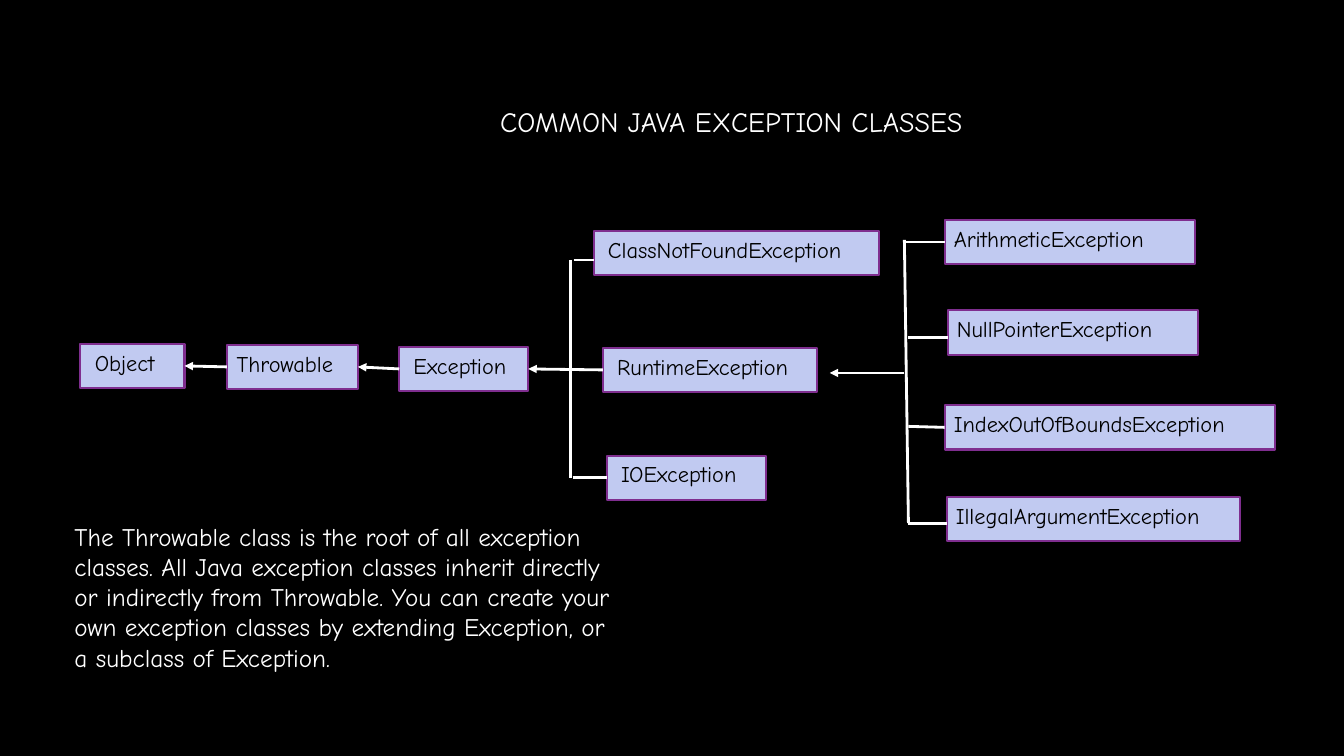
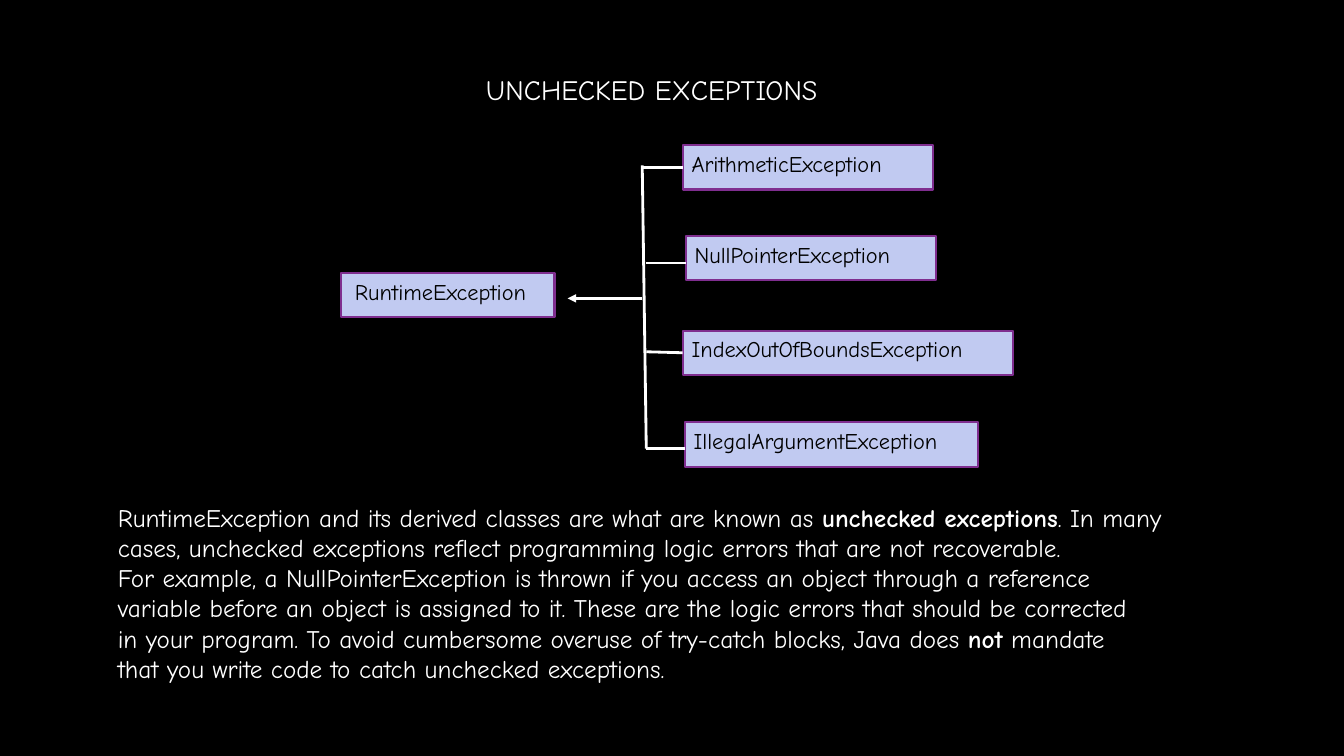
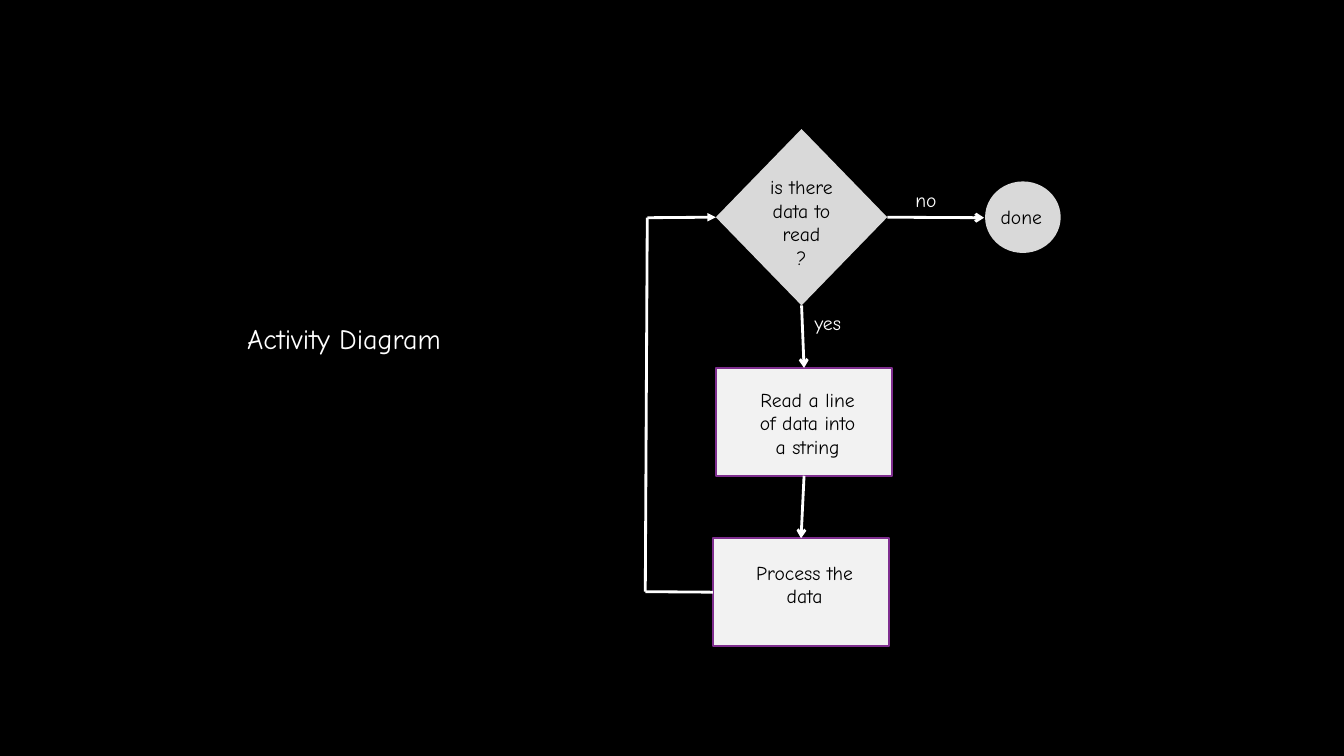
from lxml import etree
from pptx import Presentation
from pptx.dml.color import RGBColor
from pptx.enum.shapes import MSO_CONNECTOR, MSO_SHAPE
from pptx.enum.text import MSO_ANCHOR, MSO_AUTO_SIZE, PP_ALIGN
from pptx.oxml.ns import qn
from pptx.util import Inches, Pt

RECT, DIAMOND, OVAL = MSO_SHAPE.RECTANGLE, MSO_SHAPE.DIAMOND, MSO_SHAPE.OVAL
STRAIGHT = MSO_CONNECTOR.STRAIGHT
LEFT, CENTER = PP_ALIGN.LEFT, PP_ALIGN.CENTER
TOP, MIDDLE = MSO_ANCHOR.TOP, MSO_ANCHOR.MIDDLE
NO_FIT = MSO_AUTO_SIZE.NONE

FONT = "Comic Neue"
BLACK, WHITE, PURPLE = "000000", "FFFFFF", "7F2E8F"
LAVENDER, GREY, PALE = "C1CAF1", "D9D9D9", "F2F2F2"
TOP_SITE, LEFT_SITE, BOTTOM_SITE, RIGHT_SITE = range(4)
rgb = RGBColor.from_string


def write(tf, text, size=18, color=WHITE, align=LEFT, anchor=TOP,
          margins=(0.1, 0.05, 0, 0.05)):
    """Fill a text frame: one paragraph per line, **bold** between stars."""
    tf.word_wrap = True
    tf.auto_size = NO_FIT
    tf.vertical_anchor = anchor
    (tf.margin_left, tf.margin_top,
     tf.margin_right, tf.margin_bottom) = map(Inches, margins)
    for i, line in enumerate(text.split("\n")):
        p = tf.add_paragraph() if i else tf.paragraphs[0]
        p.alignment = align
        for j, part in enumerate(line.split("**")):
            r = p.add_run()
            r.text = part
            r.font.name, r.font.size = FONT, Pt(size)
            r.font.color.rgb = rgb(color)
            r.font.bold = j % 2 == 1


def connect(s, nodes, start, end, arrow=None):
    """Draw a line; each end is a point (x, y) or a (node name, site)."""
    points = [(0, 0) if isinstance(e[0], str) else e for e in (start, end)]
    line = s.shapes.add_connector(
        STRAIGHT, *[Inches(v) for point in points for v in point])
    for e, join in ((start, line.begin_connect), (end, line.end_connect)):
        if isinstance(e[0], str):
            join(nodes[e[0]], e[1])
    line.line.color.rgb = rgb(WHITE)
    line.line.width = Pt(2)
    if arrow:
        ln = line.line._get_or_add_ln()
        etree.SubElement(ln, qn("a:tailEnd"), type=arrow)
    etree.SubElement(line._element.spPr, qn("a:effectLst"))


prs = Presentation()
prs.slide_width, prs.slide_height = Inches(13.33), Inches(7.5)
fill = prs.slide_master.background.fill
fill.solid()
fill.fore_color.rgb = rgb(BLACK)

# Slides and titles
titles = [
    ("COMMON JAVA EXCEPTION CLASSES", 4.86, 0.99, 5.52),
    ("UNCHECKED EXCEPTIONS", 4.72, 0.67, 3.85),
    ("Activity Diagram", 2.35, 3.14, 2.72),
]
slides = []
for text, x, y, w in titles:
    s = prs.slides.add_slide(prs.slide_layouts[5])
    title = s.shapes.title
    title.left, title.top = Inches(x), Inches(y)
    title.width, title.height = Inches(w), Inches(0.44)
    write(title.text_frame, text, size=20)
    slides.append(s)

# Class boxes: name, left, top, width, text indent
base_classes = [
    ("Object", 0.79, 3.41, 1.04, 0.15),
    ("Throwable", 2.25, 3.42, 1.3, 0.1),
    ("Exception", 3.96, 3.44, 1.28, 0.14),
    ("ClassNotFoundException", 5.89, 2.29, 2.83, 0.14),
    ("IOException", 6.02, 4.52, 1.58, 0.14),
]
runtime_classes = [
    ("RuntimeException", 5.98, 3.45, 2.12, 0.14),
    ("ArithmeticException", 9.37, 2.18, 2.48, 0.09),
    ("NullPointerException", 9.4, 3.08, 2.48, 0.09),
    ("IndexOutOfBoundsException", 9.37, 4.02, 3.28, 0.09),
    ("IllegalArgumentException", 9.39, 4.93, 2.91, 0.09),
]
base_links = [
    (("Throwable", LEFT_SITE), ("Object", RIGHT_SITE), "triangle"),
    (("Exception", LEFT_SITE), ("Throwable", RIGHT_SITE), "triangle"),
    (("RuntimeException", LEFT_SITE), ("Exception", RIGHT_SITE), "triangle"),
    ((5.66, 2.58), (5.66, 4.74), None),
    ((5.69, 2.58), (5.89, 2.58), None),
    ((5.68, 4.74), ("IOException", LEFT_SITE), None),
]
runtime_links = [
    ((8.97, 2.38), (9.01, 5.19), None),
    ((8.96, 2.4), ("ArithmeticException", LEFT_SITE), None),
    ((9.01, 3.35), (9.4, 3.35), None),
    ((9.01, 4.23), ("IndexOutOfBoundsException", LEFT_SITE), None),
    ((9.01, 5.19), (9.39, 5.19), None),
    ((8.97, 3.7), (8.23, 3.7), "triangle"),
]
throwable_note = """The Throwable class is the root of all exception
classes. All Java exception classes inherit directly
or indirectly from Throwable. You can create your
own exception classes by extending Exception, or
a subclass of Exception."""
unchecked_note = """RuntimeException and its derived classes are what are known as **unchecked exceptions**. In many
cases, unchecked exceptions reflect programming logic errors that are not recoverable.
For example, a NullPointerException is thrown if you access an object through a reference
variable before an object is assigned to it. These are the logic errors that should be corrected
in your program. To avoid cumbersome overuse of try-catch blocks, Java does **not** mandate
that you write code to catch unchecked exceptions."""

# Class hierarchies; the second repeats the runtime branch, shifted
hierarchies = [
    (base_classes + runtime_classes, base_links + runtime_links, 0, 0,
     throwable_note, (0.64, 5.12, 6.13, 1.62)),
    (runtime_classes, runtime_links, -2.6, -0.74,
     unchecked_note, (1.07, 4.93, 11.46, 2.22)),
]
for s, (classes, links, dx, dy, note, note_at) in zip(slides, hierarchies):
    nodes = {}
    for name, x, y, w, indent in classes:
        sp = s.shapes.add_shape(RECT, Inches(x + dx), Inches(y + dy),
                                Inches(w), Inches(0.44))
        sp.shadow.inherit = False
        sp.fill.solid()
        sp.fill.fore_color.rgb = rgb(LAVENDER)
        sp.line.color.rgb = rgb(PURPLE)
        sp.line.width = Pt(1.5)
        write(sp.text_frame, name, size=16, color=BLACK,
              margins=(indent, 0.05, 0, 0))
        nodes[name] = sp
    for *ends, arrow in links:
        start, end = [e if isinstance(e[0], str) else (e[0] + dx, e[1] + dy)
                      for e in ends]
        connect(s, nodes, start, end, arrow)
    tb = s.shapes.add_textbox(*map(Inches, note_at))
    write(tb.text_frame, note)

# Activity diagram: name, text, shape, place, fill, outline, margins
s = slides[2]
steps = [
    ("check", "is there\ndata to\nread\n?", DIAMOND, (7.1, 1.28, 1.7, 1.75),
     GREY, None, (0, 0.1, 0, 0)),
    ("done", "done", OVAL, (9.77, 1.8, 0.75, 0.71),
     GREY, None, (0, 0, 0.03, 0.02)),
    ("read", "Read a line\nof data into\na string", RECT,
     (7.1, 3.65, 1.75, 1.07), PALE, PURPLE, (0.07, 0.02, 0, 0)),
    ("process", "Process the\ndata", RECT, (7.07, 5.34, 1.75, 1.07),
     PALE, PURPLE, (0.07, 0, 0, 0.16)),
]
nodes = {}
for name, text, kind, at, color, outline, margins in steps:
    sp = s.shapes.add_shape(kind, *map(Inches, at))
    sp.shadow.inherit = False
    sp.fill.solid()
    sp.fill.fore_color.rgb = rgb(color)
    if outline:
        sp.line.color.rgb = rgb(outline)
        sp.line.width = Pt(1.5)
    else:
        sp.line.fill.background()
    write(sp.text_frame, text, size=14, color=BLACK, align=CENTER,
          anchor=MIDDLE, margins=margins)
    nodes[name] = sp

# Flow between the steps, with the loop back on the left
flow = [
    (("check", RIGHT_SITE), (9.76, 2.16), "arrow"),
    (("check", BOTTOM_SITE), ("read", TOP_SITE), "arrow"),
    (("read", BOTTOM_SITE), ("process", TOP_SITE), "arrow"),
    (("process", LEFT_SITE), (6.4, 5.87), None),
    ((6.4, 5.87), (6.42, 2.16), None),
    ((6.42, 2.16), ("check", LEFT_SITE), "triangle"),
]
for start, end, arrow in flow:
    connect(s, nodes, start, end, arrow)

# Branch labels
for text, x, y, w in [("no", 8.98, 1.82, 0.41), ("yes", 7.98, 3.04, 0.51)]:
    tb = s.shapes.add_textbox(Inches(x), Inches(y), Inches(w), Inches(0.34))
    write(tb.text_frame, text, size=14)

prs.save("out.pptx")
